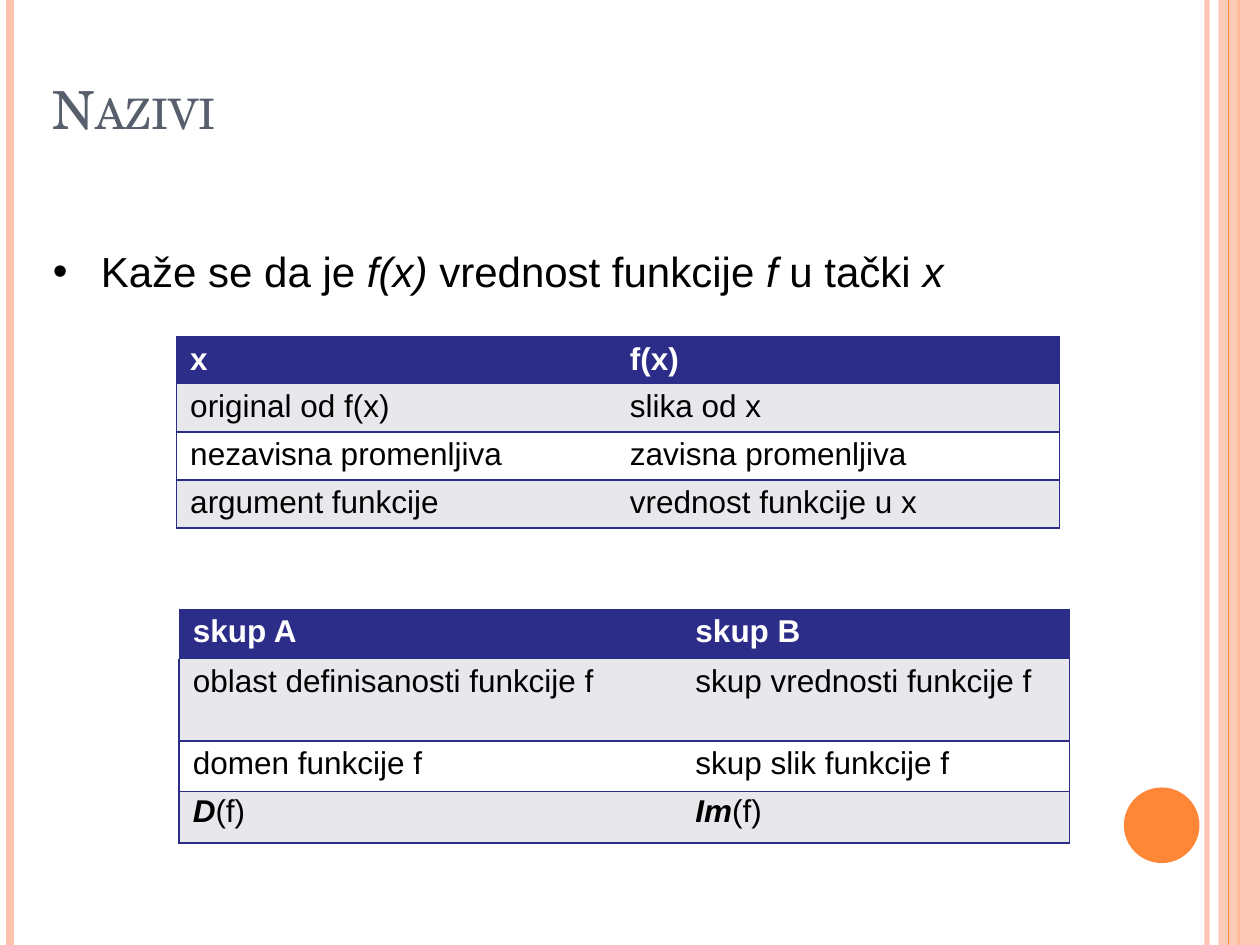
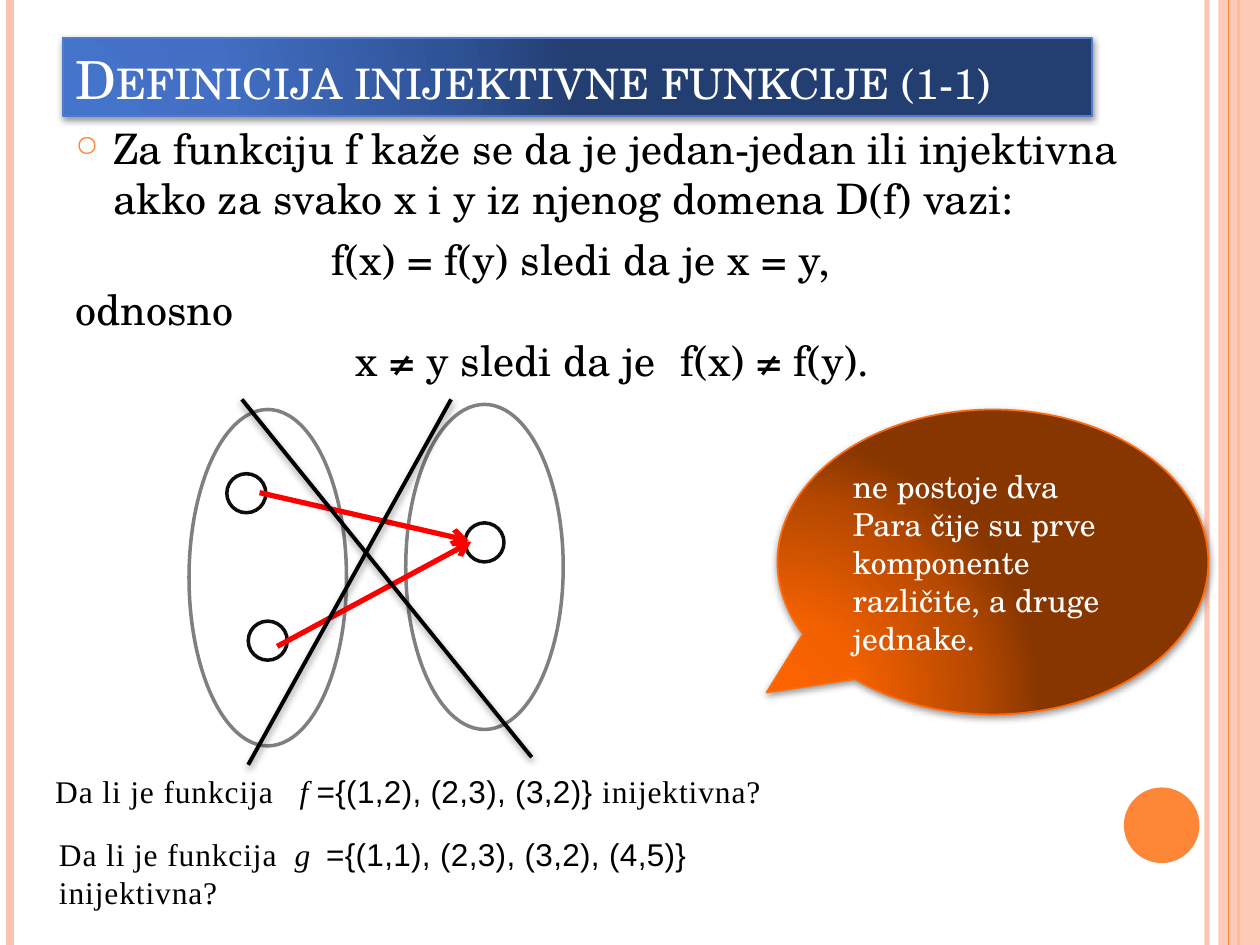
from lxml import etree
from pptx import Presentation
from pptx.dml.color import RGBColor
from pptx.enum.shapes import MSO_CONNECTOR, MSO_SHAPE
from pptx.enum.text import MSO_ANCHOR, PP_ALIGN
from pptx.oxml.ns import nsdecls
from pptx.util import Inches, Pt

PEACH, ORANGE, NAVY, GREY = "FEC3AE", "FE8637", "2C2C89", "E8E8EC"
BLACK, WHITE, RED = "000000", "FFFFFF", "FF0000"
SERIF, SANS, TIMES = "TeX Gyre Schola", "Arial", "Times New Roman"
TITLE = dict(name=SERIF, size=Pt(30), cap="small")
SHADOW = ('<a:outerShdw {ns} blurRad="50800" dist="%d" dir="5400000" rotWithShape="0">'
          '<a:srgbClr val="000000"><a:alpha val="%d"/></a:srgbClr></a:outerShdw>')
hex_color = RGBColor.from_string


def drawing(markup):
    """Turn DrawingML markup, with {ns} in its root tag, into an element."""
    return etree.fromstring(markup.replace("{ns}", nsdecls("a")))


def write(para, spans, **base):
    """Add (text, changes) spans to a paragraph, all based on one format."""
    para.alignment = PP_ALIGN.LEFT
    for text, changes in spans:
        span = para.add_run()
        span.text = text
        for key, value in {**base, **changes}.items():
            if key in ("cap", "spc"):
                span._r.get_or_add_rPr().set(key, str(value))
            elif key == "color":
                span.font.color.rgb = hex_color(value)
            else:
                setattr(span.font, key, value)


deck = Presentation()
deck.slide_width, deck.slide_height = Inches(10), Inches(7.5)
names_page, injective_page = [deck.slides.add_slide(deck.slide_layouts[6]) for _ in range(2)]

# Side bands and page dot on every slide
for page in (names_page, injective_page):
    for x, color, width, alpha in [(9.58, PEACH, 3, 93), (0.08, PEACH, 4.5, 100),
                                   (9.83, ORANGE, 1.5, 100), (None, PEACH, 0, 87),
                                   (9.75, ORANGE, 0.75, 100)]:
        if x is None:
            band = page.shapes.add_shape(MSO_SHAPE.RECTANGLE, Inches(9.67), 0,
                                         Inches(0.33), deck.slide_height)
            band.shadow.inherit = False
            band.line.fill.background()
            paint = band.fill
        else:
            band = page.shapes.add_connector(MSO_CONNECTOR.STRAIGHT, Inches(x), 0,
                                             Inches(x), deck.slide_height)
            band.line.width = Pt(width)
            paint = band.line.fill
        paint.solid()
        paint.fore_color.rgb = hex_color(color)
        if x is not None:
            band._element.spPr.append(drawing("<a:effectLst {ns}/>"))
        if alpha < 100:
            for tint in band._element.spPr.iter("{*}srgbClr"):
                tint.append(drawing('<a:alpha {ns} val="%d"/>' % (alpha * 1000)))
    dot = page.shapes.add_shape(MSO_SHAPE.OVAL, Inches(8.92), Inches(6.25),
                                Inches(0.6), Inches(0.6))
    dot.shadow.inherit = False
    dot.fill.solid()
    dot.fill.fore_color.rgb = hex_color(ORANGE)
    dot.line.fill.background()

# Slide 1: title and statement
for left, top, width, height, anchor in [(0.42, 0.48, 1.39, 0.63, MSO_ANCHOR.BOTTOM),
                                         (0.42, 1.94, 8.11, 0.43, MSO_ANCHOR.TOP)]:
    box = names_page.shapes.add_textbox(Inches(left), Inches(top), Inches(width), Inches(height))
    frame = box.text_frame
    frame.word_wrap, frame.vertical_anchor = True, anchor
    frame.margin_left = frame.margin_right = frame.margin_bottom = 0
    frame.margin_top = Inches(0.01)
    para = frame.paragraphs[0]
    if anchor == MSO_ANCHOR.BOTTOM:
        write(para, [("Nazivi", {})], color="575F6D", spc=-10, **TITLE)
        continue
    props = para._p.get_or_add_pPr()
    props.set("marL", str(Inches(0.38)))
    props.set("indent", str(-Inches(0.38)))
    props.append(drawing('<a:buFont {ns} typeface="Arial"/>'))
    props.append(drawing('<a:buChar {ns} char="•"/>'))
    slanted = dict(italic=True)
    write(para, [("Kaže se da je ", {}), ("f(x) ", slanted), ("vrednost funkcije ", {}),
                 ("f ", slanted), ("u tački ", {}), ("x", slanted)],
          name=SANS, size=Pt(24), color=BLACK)

# Slide 1: tables of terms
argument_rows = [("x", "f(x)"), ("original od f(x)", "slika od x"),
                 ("nezavisna promenljiva", "zavisna promenljiva"),
                 ("argument funkcije", "vrednost funkcije u x")]
set_rows = [("skup A", "skup B"),
            ("oblast definisanosti funkcije f", "skup vrednosti funkcije f"),
            ("domen funkcije f", "skup slik funkcije f"), ("D(f)", "Im(f)")]
for left, top, widths, heights, indent, rows in [
        (1.4, 2.67, (3.23, 3.78), (0.38, 0.38, 0.38, 0.38), 0.37, argument_rows),
        (1.42, 4.83, (3.42, 3.65), (0.4, 0.65, 0.4, 0.41), 0.68, set_rows)]:
    table_shape = names_page.shapes.add_table(len(rows), 2, Inches(left), Inches(top),
                                              Inches(sum(widths)), Inches(sum(heights)))
    table = table_shape.table
    table.first_row = table.horz_banding = False
    for style in table._tbl.iter("{*}tableStyleId"):
        style.text = "{2D5ABB26-0587-4C30-8999-92F81FD0307C}"
    for column, width in zip(table.columns, widths):
        column.width = Inches(width)
    for r, (row, height) in enumerate(zip(rows, heights)):
        table.rows[r].height = Inches(height)
        for c, text in enumerate(row):
            cell = table.cell(r, c)
            symbol = text.removesuffix("(f)") if text in ("D(f)", "Im(f)") else ""
            cell.margin_left = Inches(indent if c else 0.11)
            cell.margin_right = cell.margin_bottom = 0
            cell.margin_top = Inches(0.02 if symbol else 0.04)
            if r == 2:
                cell.fill.background()
            else:
                cell.fill.solid()
                cell.fill.fore_color.rgb = hex_color(GREY if r else NAVY)
            if r:
                for place, side in enumerate(("R" if c else "L", "B")):
                    cell._tc.get_or_add_tcPr().insert(place, drawing(
                        f'<a:ln{side} {{ns}} w="12700"><a:solidFill><a:srgbClr val="{NAVY}"/>'
                        f'</a:solidFill></a:ln{side}>'))
            spans = [(text, {})]
            if symbol:
                spans = [(symbol, dict(bold=True, italic=True)), ("(f)", {})]
            write(cell.text_frame.paragraphs[0], spans, name=SANS, size=Pt(18),
                  bold=r == 0, color=BLACK if r else WHITE)

# Slide 2: definition text
shapes = injective_page.shapes
box = shapes.add_textbox(Inches(0.5), Inches(0.92), Inches(8.67), Inches(2.2))
frame = box.text_frame
frame.word_wrap = True
for i, (text, before, spacing, tabs) in enumerate([
        ("Za funkciju f kaže se da je jedan-jedan ili injektivna "
         "akko za svako x i y iz njenog domena D(f) vazi:", 0, 1, ()),
        ("\tf(x) = f(y) sledi da je x = y,", 6, 1, (2.03,)),
        ("odnosno", 5.6, 0.8, ()),
        ("\tx ≠ y sledi da je\tf(x) ≠ f(y).", 5.6, 0.8, (2.22, 4.8))]):
    para = frame.add_paragraph() if i else frame.paragraphs[0]
    props = para._p.get_or_add_pPr()
    if i == 0:
        props.set("marL", str(Inches(0.3)))
        props.set("indent", str(-Inches(0.3)))
        for bullet in (f'<a:buClr {{ns}}><a:srgbClr val="{ORANGE}"/></a:buClr>',
                       '<a:buSzPct {ns} val="70000"/>', '<a:buChar {ns} char="○"/>'):
            props.append(drawing(bullet))
    if tabs:
        stops = "".join(f'<a:tab pos="{Inches(tab)}" algn="l"/>' for tab in tabs)
        props.append(drawing(f"<a:tabLst {{ns}}>{stops}</a:tabLst>"))
    para.space_before, para.line_spacing = Pt(before), spacing
    write(para, [(text, {})], name=SERIF, size=Pt(24), color=BLACK)

# Slide 2: title bar and callout, both with a radial gradient
title_bar = shapes.add_shape(MSO_SHAPE.RECTANGLE, Inches(0.5), Inches(0.3),
                             Inches(8.17), Inches(0.62))
callout = shapes.add_shape(MSO_SHAPE.OVAL_CALLOUT, Inches(6.17), Inches(3.25),
                           Inches(3.42), Inches(2.42))
callout.adjustments[0], callout.adjustments[1] = -0.525, 0.428
for shape, tints, edge, anchor, lines, font in [
        (title_bar, ("4574CC", "4370C5", "2F5397", "233E70"), "4F7CCF", MSO_ANCHOR.BOTTOM,
         ["Definicija inijektivne funkcije (1-1)"], TITLE),
        (callout, ("FD6400", "F46100", "B74900", "873600"), "FF6B0A", MSO_ANCHOR.MIDDLE,
         ["ne postoje dva", "Para čije su prve komponente različite, a druge jednake."],
         dict(name=SERIF, size=Pt(18)))]:
    stops = "".join(f'<a:gs pos="{pos}000"><a:srgbClr val="{tint}"/></a:gs>'
                    for pos, tint in zip((0, 30, 75, 100), tints))
    shape._element.spPr.insert(2, drawing(
        f'<a:gradFill {{ns}} rotWithShape="1"><a:gsLst>{stops}</a:gsLst><a:path path="circle">'
        '<a:fillToRect l="5000" t="100000" r="120000" b="10000"/></a:path></a:gradFill>'))
    shape.line.color.rgb, shape.line.width = hex_color(edge), Pt(1)
    shape.shadow.inherit = False
    for effects in shape._element.spPr.iter("{*}effectLst"):
        effects.append(drawing(SHADOW % (Pt(1.6), 42000)))
    frame = shape.text_frame
    frame.word_wrap, frame.vertical_anchor = True, anchor
    for i, line in enumerate(lines):
        para = frame.add_paragraph() if i else frame.paragraphs[0]
        write(para, [(line, {})], color=WHITE, **font)

# Slide 2: mapping diagram, crossed out
DOT = 0.31
ovals = [(1.5, 3.25, 1.25, 2.67, "7F7F7F"), (3.22, 3.21, 1.25, 2.58, "808080"),
         (1.8, 3.76, DOT, DOT, "0D0D0D"), (1.97, 4.93, DOT, DOT, "0D0D0D"),
         (3.69, 4.15, DOT, DOT, "0D0D0D")]
for left, top, width, height, color in ovals:
    oval = shapes.add_shape(MSO_SHAPE.OVAL, Inches(left), Inches(top),
                            Inches(width), Inches(height))
    oval.shadow.inherit = False
    oval.fill.background()
    oval.line.color.rgb, oval.line.width = hex_color(color), Pt(2)

for x1, y1, x2, y2, color, width in [
        (2.06, 3.91, 3.72, 4.29, RED, 3), (2.2, 5.13, 3.74, 4.3, RED, 3),
        (1.97, 6.07, 3.58, 3.17, BLACK, 2.25), (1.92, 3.17, 4.22, 6.01, BLACK, 2.25)]:
    line = shapes.add_connector(MSO_CONNECTOR.STRAIGHT, Inches(x1), Inches(y1),
                                Inches(x2), Inches(y2))
    line.line.color.rgb, line.line.width = hex_color(color), Pt(width)
    effects = drawing("<a:effectLst {ns}/>")
    if color == RED:
        line.line._get_or_add_ln().append(drawing('<a:tailEnd {ns} type="arrow"/>'))
    else:
        effects.append(drawing(SHADOW % (Pt(2), 40000)))
    line._element.spPr.append(effects)

# Slide 2: questions
for left, top, width, tabs, letter, pairs in [
        (0.34, 6.08, 5.97, (1.94,), "f ", "={(1,2), (2,3), (3,2)} "),
        (0.37, 6.58, 6.3, (1.87, 2.12), "g\t", "={(1,1), (2,3), (3,2), (4,5)} ")]:
    box = shapes.add_textbox(Inches(left), Inches(top), Inches(width), Inches(0.4))
    box.text_frame.word_wrap = True
    para = box.text_frame.paragraphs[0]
    stops = "".join(f'<a:tab pos="{Inches(tab)}" algn="l"/>' for tab in tabs)
    para._p.get_or_add_pPr().append(drawing(f"<a:tabLst {{ns}}>{stops}</a:tabLst>"))
    write(para, [("Da li je funkcija\t", {}), (letter, dict(italic=True, spc=10)),
                 (pairs, dict(name=SANS, spc=20)), ("inijektivna?", {})],
          name=TIMES, size=Pt(18), color=BLACK, spc=50)

deck.save("out.pptx")
